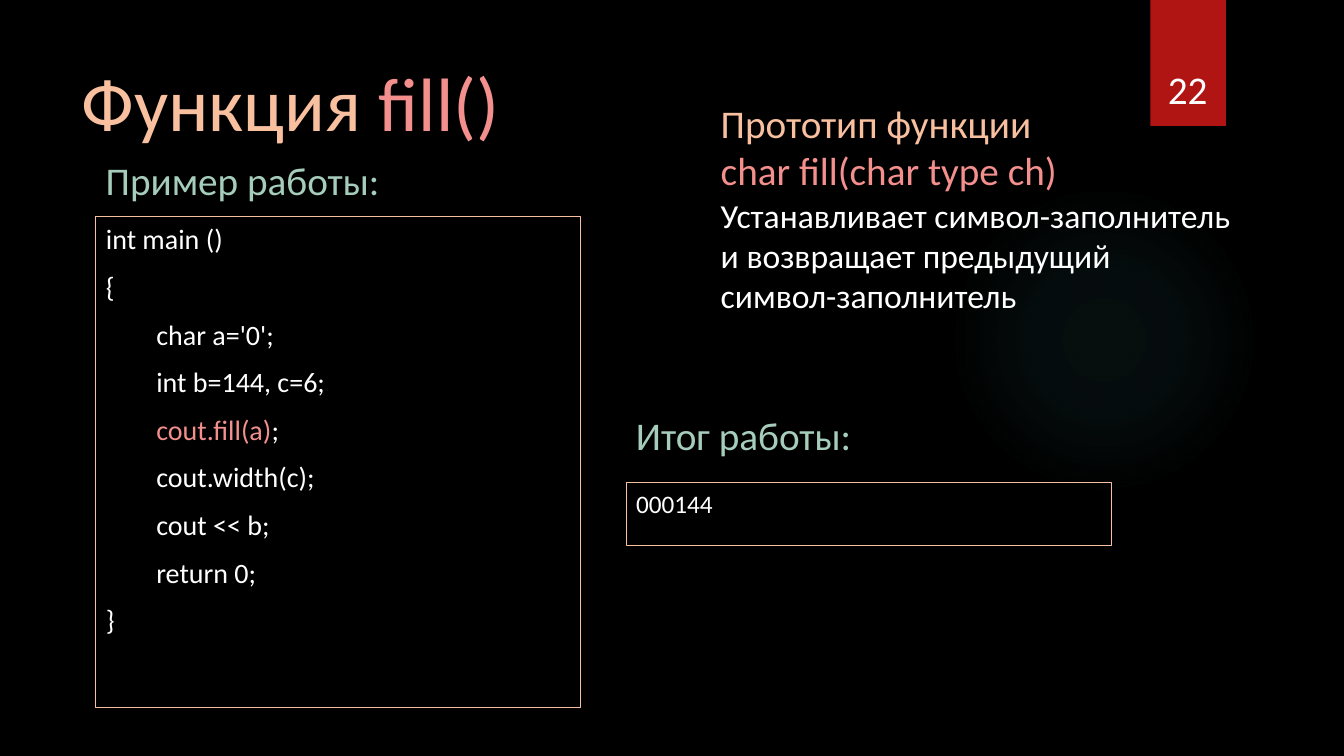
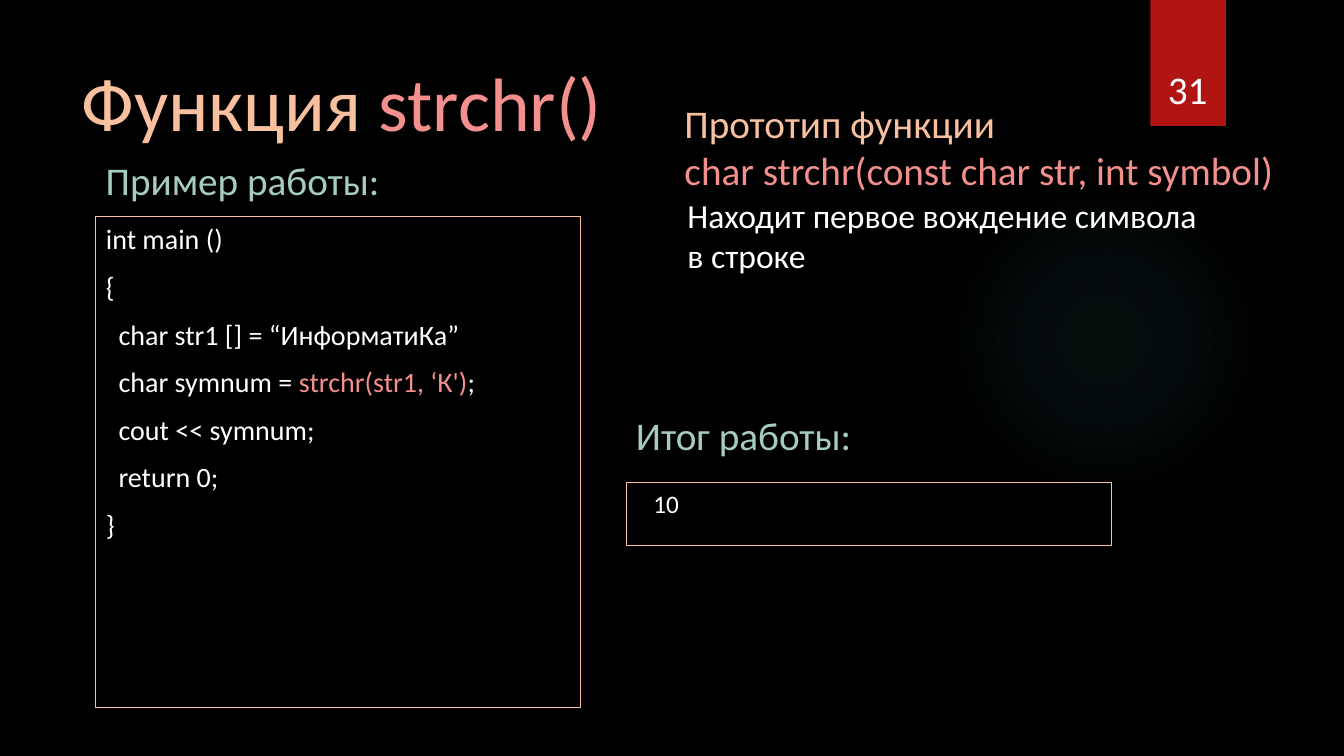
from dataclasses import dataclass

from lxml import etree
from pptx import Presentation
from pptx import util as u
from pptx.dml.color import RGBColor
from pptx.enum import shapes, text
from pptx.oxml import parse_xml
from pptx.oxml.ns import nsdecls, qn

PX = 9144  # 100 px to the inch


@dataclass(frozen=True)
class Theme:
    font: str = "Calibri"
    background: str = "000000"
    white: str = "FFFFFF"
    peach: str = "F8C09F"
    coral: str = "F38F8D"
    mint: str = "A6CDBC"
    red: str = "B01513"
    glow: str = "50B9C1"
    title: int = 54
    heading: int = 28
    summary: int = 24
    code: int = 20
    output: int = 18


THEME = Theme()
TWO_CONTENT = 3
CODE_TAB = 50


def rgb(value):
    return RGBColor.from_string(value)


def place(shape, box):
    shape.left, shape.top, shape.width, shape.height = (u.Emu(n * PX) for n in box)


def write(frame, lines, size, color=THEME.white, align=text.PP_ALIGN.LEFT,
          anchor=text.MSO_ANCHOR.TOP, wrap=True, space=0, tab=None, indent=0):
    """Fill a text frame; a line is a string or a list of (string, colour) runs."""
    frame.word_wrap = wrap
    frame.auto_size = text.MSO_AUTO_SIZE.NONE
    frame.vertical_anchor = anchor
    for number, line in enumerate(lines):
        paragraph = frame.add_paragraph() if number else frame.paragraphs[0]
        paragraph.alignment = align
        paragraph.space_before = u.Pt(space if number else 0)
        properties = paragraph._p.get_or_add_pPr()
        properties.set("marL", str(indent * PX))
        properties.set("indent", "0")
        etree.SubElement(properties, qn("a:buNone"))
        if tab:
            tabs = etree.SubElement(properties, qn("a:tabLst"))
            etree.SubElement(tabs, qn("a:tab"), pos=str(tab * PX), algn="l")
        for content, run_color in [(line, color)] if isinstance(line, str) else line:
            run = paragraph.add_run()
            run.text = content
            run.font.name = THEME.font
            run.font.size = u.Pt(size)
            run.font.color.rgb = rgb(run_color)


def add_text(slide, box, lines, **options):
    label = slide.shapes.add_textbox(0, 0, 0, 0)
    place(label, box)
    write(label.text_frame, lines, **options)


def add_plain_shape(slide, kind, box):
    shape = slide.shapes.add_shape(kind, 0, 0, 0, 0)
    place(shape, box)
    shape.shadow.inherit = False
    shape.line.fill.background()
    return shape


def add_glow(slide, box):
    glow = add_plain_shape(slide, shapes.MSO_SHAPE.OVAL, box)
    glow.fill.background()
    stops = "".join(
        f'<a:gs pos="{position * 1000}"><a:srgbClr val="{THEME.glow}">'
        f'<a:alpha val="{alpha * 1000}"/></a:srgbClr></a:gs>'
        for position, alpha in ((0, 7), (36, 6), (69, 0)))
    gradient = parse_xml(
        f'<a:gradFill {nsdecls("a")} rotWithShape="1"><a:gsLst>{stops}</a:gsLst>'
        '<a:path path="circle"><a:fillToRect l="50000" t="50000" r="50000" b="50000"/>'
        '</a:path></a:gradFill>')
    properties = glow.element.spPr
    properties.replace(properties.find(qn("a:noFill")), gradient)
    return glow


def add_ribbon(slide, box):
    ribbon = add_plain_shape(slide, shapes.MSO_SHAPE.RECTANGLE, box)
    ribbon.fill.solid()
    ribbon.fill.fore_color.rgb = rgb(THEME.red)
    ribbon.element.spPr.find(qn("a:effectLst")).append(parse_xml(
        f'<a:outerShdw {nsdecls("a")} blurRad="{u.Pt(3)}" dist="{u.Pt(2)}" dir="5400000">'
        '<a:srgbClr val="000000"><a:alpha val="45000"/></a:srgbClr></a:outerShdw>'))
    return ribbon


def decorate_layout(layout, slide):
    """Draw the shared background parts on a slide and move them to its layout."""
    layout.background.fill.solid()
    layout.background.fill.fore_color.rgb = rgb(THEME.background)
    decorations = (add_glow(slide, (941, 183, 308, 308)),
                   add_ribbon(slide, (1141, 0, 75, 125)))
    for position, shape in enumerate(decorations, start=2):
        layout.shapes.element.insert(position, shape.element)


def add_listing(slide, placeholder, box, heading, lines, heading_gap, **options):
    """A framed body placeholder with its heading above it."""
    left, top, _, _ = box
    add_text(slide, (left, top - heading_gap, 416, 57), [heading],
             size=THEME.heading, color=THEME.mint)
    place(placeholder, box)
    placeholder.line.color.rgb = rgb(THEME.peach)
    placeholder.line.width = u.Pt(0.75)
    write(placeholder.text_frame, lines, space=10, **options)


def add_prototype(slide, box, signature, summary, summary_shift):
    left, top, width, _ = box
    add_text(slide, box, [[("Прототип функции", THEME.peach)], [(signature, THEME.coral)]],
             size=THEME.heading)
    add_text(slide, (left + summary_shift, top + 94, width, 11 + 40 * len(summary)),
             summary, size=THEME.summary, wrap=False)


def fill_function_slide(slide, name, number, code, output, prototype, output_indent=0):
    title = slide.shapes.title
    place(title, (71, 50, 649, 101))
    write(title.text_frame, [[("Функция ", THEME.peach), (name, THEME.coral)]],
          size=THEME.title, anchor=text.MSO_ANCHOR.MIDDLE)
    add_text(slide, (1132, 32, 92, 84), [str(number)], size=THEME.heading,
             align=text.PP_ALIGN.CENTER, anchor=text.MSO_ANCHOR.BOTTOM)
    add_listing(slide, slide.placeholders[1], (95, 215, 481, 487), "Пример работы:",
                code, heading_gap=65, size=THEME.code, tab=CODE_TAB)
    add_listing(slide, slide.placeholders[2], (621, 479, 481, 62), "Итог работы:",
                [output], heading_gap=76, size=THEME.output, indent=output_indent)
    add_prototype(slide, **prototype)


FUNCTIONS = [
    dict(
        name="fill()", number=22, output="000144",
        code=["int main ()", "{", "\tchar a='0';", "\tint b=144, c=6;",
              [("\t", THEME.white), ("cout.fill(a)", THEME.coral), (";", THEME.white)],
              "\tcout.width(c);", "\tcout << b;", "\treturn 0;", "}"],
        prototype=dict(
            box=(705, 94, 531, 104), signature="char fill(char type ch)", summary_shift=0,
            summary=["Устанавливает символ-заполнитель", "и возвращает предыдущий",
                     "символ-заполнитель"])),
    dict(
        name="strchr()", number=31, output="10", output_indent=17,
        code=["int main ()", "{", "  char str1 [] = “ИнформатиКа”",
              [("  char symnum = ", THEME.white), ("strchr(str1, ‘К')", THEME.coral),
               (";", THEME.white)],
              "  cout << symnum;", "  return 0;", "}"],
        prototype=dict(
            box=(669, 94, 619, 104), signature="char strchr(const char str, int symbol)",
            summary_shift=3,
            summary=["Находит первое вождение символа", "в строке"])),
]


def main():
    presentation = Presentation()
    presentation.slide_width = u.Emu(1333 * PX)
    presentation.slide_height = u.Emu(750 * PX)
    layout = presentation.slide_layouts[TWO_CONTENT]
    for index, function in enumerate(FUNCTIONS):
        slide = presentation.slides.add_slide(layout)
        if index == 0:
            decorate_layout(layout, slide)
        fill_function_slide(slide, **function)
    presentation.save("out.pptx")


if __name__ == "__main__":
    main()
